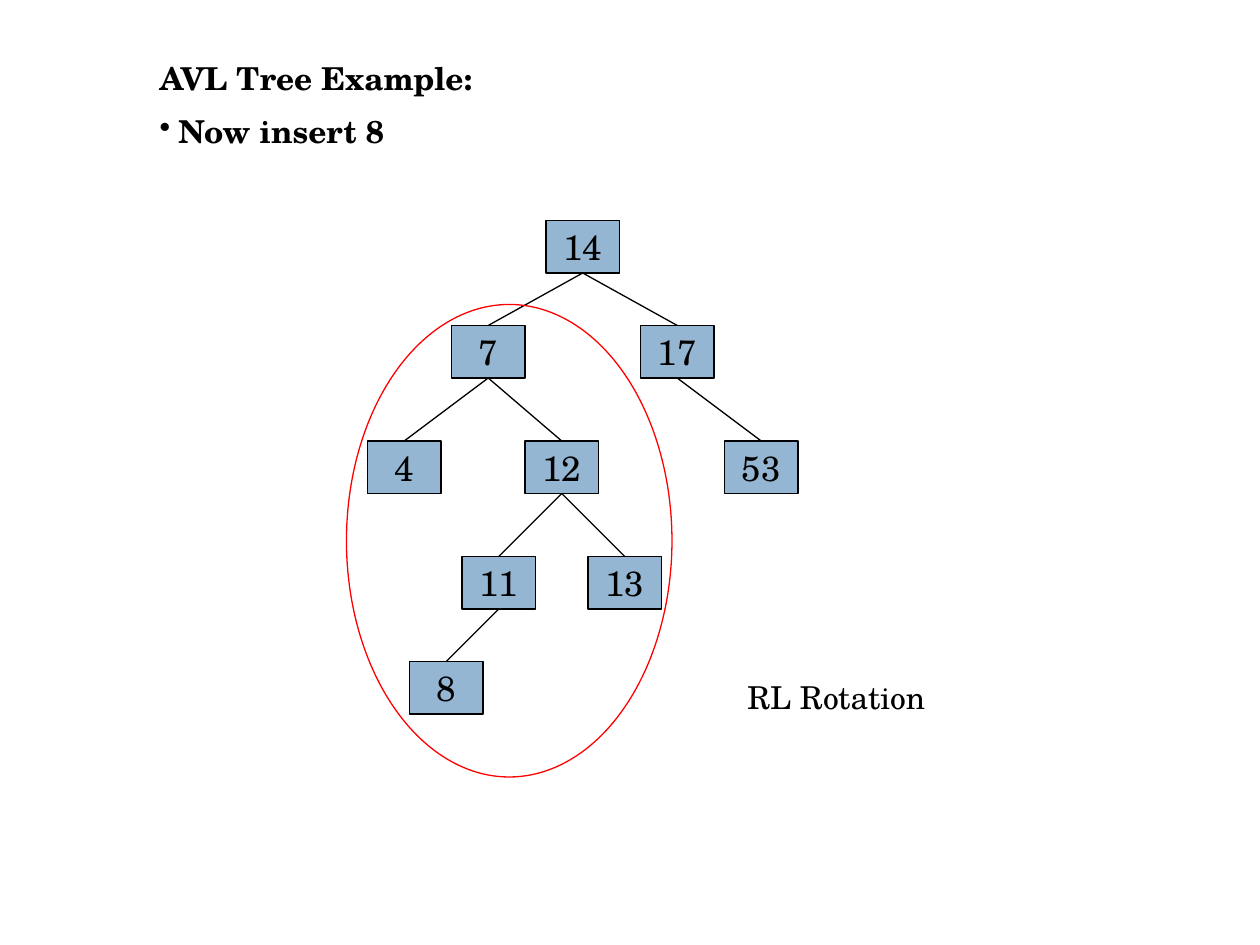
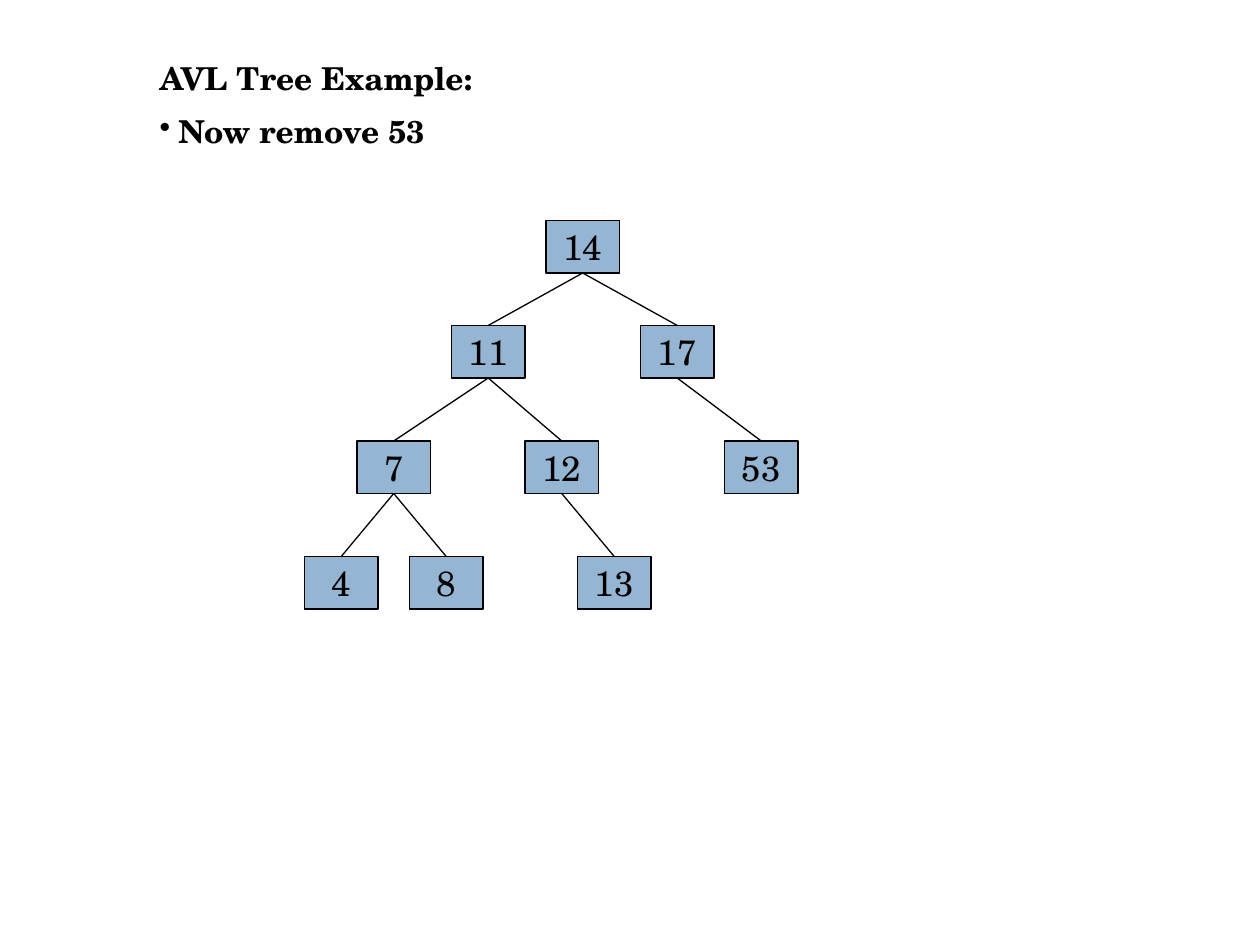
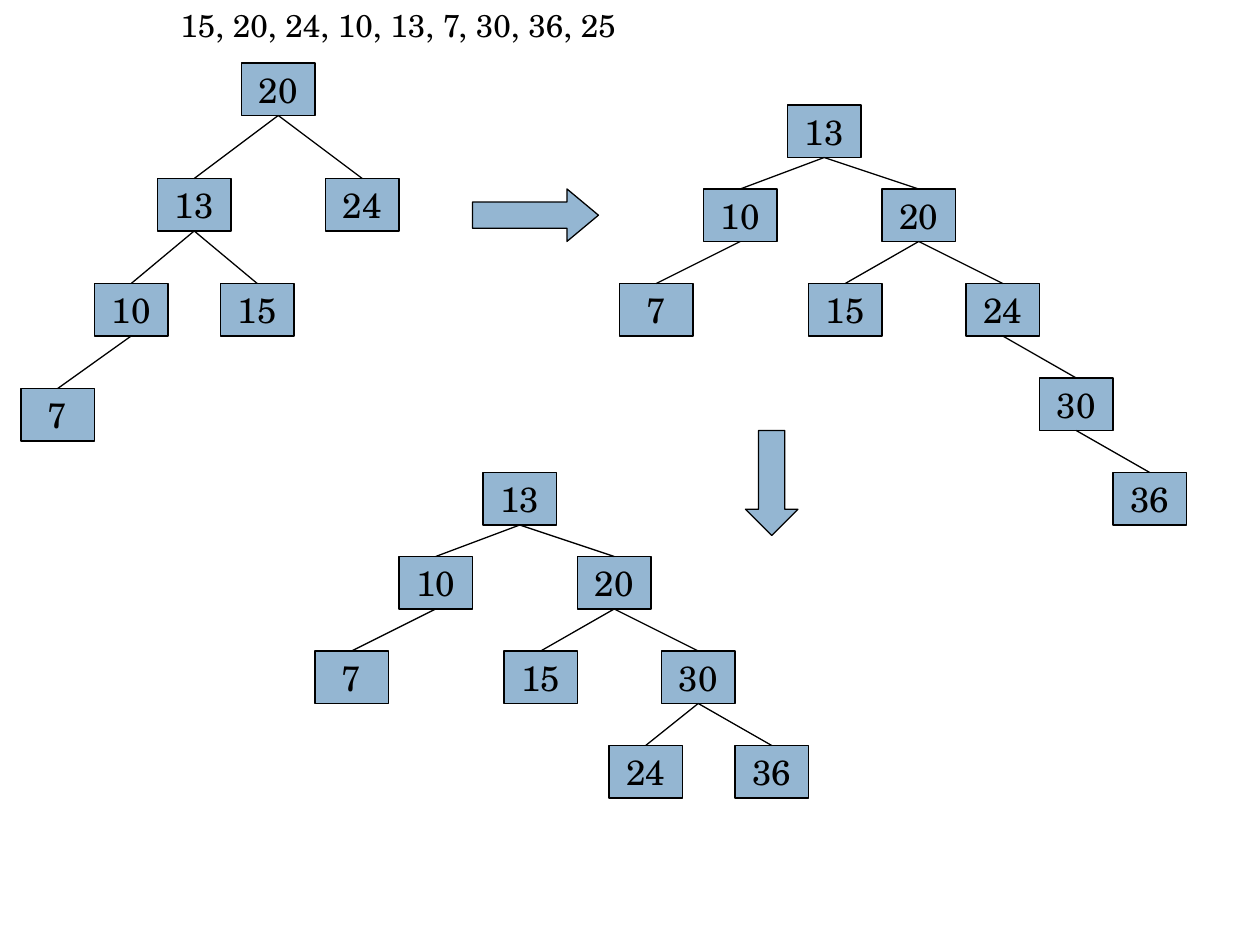
import pptx
import pptx.util
import pptx.dml.color
import pptx.enum.shapes
import pptx.enum.text
import pptx.oxml.ns
from lxml import etree

FONT = "TeX Gyre Schola"
COLORS = {"text": "000000", "line": "000000", "node": "94B6D2", "highlight": "FF0000"}
NODE_SIZE = (7, 5)
Shapes = pptx.enum.shapes.MSO_SHAPE

# Trees: (value, parent value, column, row), in grid units
INSERT_TREE = [
    (14, None, 52, 21), (7, 14, 43, 31), (17, 14, 61, 31),
    (4, 7, 35, 42), (12, 7, 50, 42), (53, 17, 69, 42),
    (11, 12, 44, 53), (13, 12, 56, 53), (8, 11, 39, 63),
]
REMOVE_TREE = [
    (14, None, 52, 21), (11, 14, 43, 31), (17, 14, 61, 31),
    (7, 11, 34, 42), (12, 11, 50, 42), (53, 17, 69, 42),
    (4, 7, 29, 53), (8, 7, 39, 53), (13, 12, 55, 53),
]
FIRST_TREE = [
    (20, None, 23, 6), (13, 20, 15, 17), (24, 20, 31, 17),
    (10, 13, 9, 27), (15, 13, 21, 27), (7, 10, 2, 37),
]
UNBALANCED_TREE = [
    (13, None, 75, 10), (10, 13, 67, 18), (20, 13, 84, 18),
    (7, 10, 59, 27), (15, 20, 77, 27), (24, 20, 92, 27),
    (30, 24, 99, 36), (36, 30, 106, 45),
]
BALANCED_TREE = [
    (13, None, 46, 45), (10, 13, 38, 53), (20, 13, 55, 53),
    (7, 10, 30, 62), (15, 20, 48, 62), (30, 20, 63, 62),
    (24, 30, 58, 71), (36, 30, 70, 71),
]


def grid(*units):
    """Turn grid units of a twelfth of an inch into lengths."""
    return [pptx.util.Cm(unit * 2.54 / 12) for unit in units]


def color(name):
    return pptx.dml.color.RGBColor.from_string(COLORS[name])


def format_font(paragraph, size, bold=False):
    for run in paragraph.runs:
        run.font.name = FONT
        run.font.size = pptx.util.Pt(size)
        run.font.bold = bold
        run.font.color.rgb = color("text")


def format_line(line, name="line"):
    line.color.rgb = color(name)
    line.width = pptx.util.Pt(0.75)


def set_indent(paragraph, left, first_line=0):
    properties = paragraph._p.get_or_add_pPr()
    properties.set("marL", str(pptx.util.Cm(left)))
    properties.set("indent", str(pptx.util.Cm(first_line)))
    return properties


def add_bullet(paragraph):
    properties = set_indent(paragraph, 0.38, -0.38)
    qualified = pptx.oxml.ns.qn
    bullet_color = etree.SubElement(properties, qualified("a:buClr"))
    etree.SubElement(bullet_color, qualified("a:srgbClr"), val=COLORS["text"])
    etree.SubElement(properties, qualified("a:buChar"), char="•")


def add_heading(slide, step):
    title = slide.shapes.title
    title.left, title.top, title.width, title.height = grid(14, 5, 94, 10.2)
    text_frame = title.text_frame
    text_frame.auto_size = pptx.enum.text.MSO_AUTO_SIZE.NONE
    text_frame.vertical_anchor = pptx.enum.text.MSO_ANCHOR.TOP
    text_frame.text = "AVL Tree Example:\n" + step
    heading, bullet = text_frame.paragraphs
    bullet.space_before = pptx.util.Pt(9)
    add_bullet(bullet)
    for paragraph in (heading, bullet):
        paragraph.alignment = pptx.enum.text.PP_ALIGN.LEFT
        format_font(paragraph, 18, bold=True)


def add_text(slide, text, box):
    text_frame = slide.shapes.add_textbox(*grid(*box)).text_frame
    text_frame.word_wrap = True
    text_frame.text = text
    paragraph = text_frame.paragraphs[0]
    format_font(paragraph, 18)
    return paragraph


def add_filled_shape(slide, kind, box):
    shape = slide.shapes.add_shape(kind, *grid(*box))
    shape.shadow.inherit = False
    shape.fill.solid()
    shape.fill.fore_color.rgb = color("node")
    format_line(shape.line)
    return shape


def add_node(slide, value, column, row):
    node = add_filled_shape(slide, Shapes.RECTANGLE, (column, row, *NODE_SIZE))
    node.text_frame.text = str(value)
    paragraph = node.text_frame.paragraphs[0]
    paragraph.alignment = pptx.enum.text.PP_ALIGN.CENTER
    format_font(paragraph, 20)
    return node


def add_edge(slide, parent, child):
    edge = slide.shapes.add_connector(
        pptx.enum.shapes.MSO_CONNECTOR.STRAIGHT, 0, 0, 0, 0)
    edge.begin_connect(parent, 2)
    edge.end_connect(child, 0)
    format_line(edge.line)
    etree.SubElement(edge._element.spPr, pptx.oxml.ns.qn("a:effectLst"))


def add_tree(slide, tree):
    nodes = {}
    for value, parent, column, row in tree:
        nodes[value] = add_node(slide, value, column, row)
        if parent is not None:
            add_edge(slide, nodes[parent], nodes[value])


def add_arrow(slide, kind, box, head_length):
    arrow = add_filled_shape(slide, kind, box)
    arrow.adjustments[0] = 0.5
    arrow.adjustments[1] = head_length


def add_highlight(slide, box):
    ellipse = slide.shapes.add_shape(Shapes.OVAL, *grid(*box))
    ellipse.shadow.inherit = False
    ellipse.fill.background()
    format_line(ellipse.line, "highlight")


def main():
    presentation = pptx.Presentation()
    presentation.slide_width = pptx.util.Cm(25.4)
    presentation.slide_height = pptx.util.Cm(19.05)
    title_only, blank = presentation.slide_layouts[5], presentation.slide_layouts[6]

    # Insertion that needs a rotation
    slide = presentation.slides.add_slide(title_only)
    add_heading(slide, "Now insert 8")
    add_tree(slide, INSERT_TREE)
    add_highlight(slide, (33, 29, 31, 45))
    add_text(slide, "RL Rotation", (70, 64, 38, 4.8))

    # Removal
    slide = presentation.slides.add_slide(title_only)
    add_heading(slide, "Now remove 53")
    add_tree(slide, REMOVE_TREE)

    # Sequence of insertions
    slide = presentation.slides.add_slide(blank)
    sequence = add_text(slide, "15, 20, 24, 10, 13, 7, 30, 36, 25", (10, 0, 98, 4.8))
    sequence.level = 1
    set_indent(sequence, 1.27)
    for tree in (FIRST_TREE, UNBALANCED_TREE, BALANCED_TREE):
        add_tree(slide, tree)
    add_arrow(slide, Shapes.RIGHT_ARROW, (45, 18, 12, 5), 0.6)
    add_arrow(slide, Shapes.DOWN_ARROW, (71, 41, 5, 10), 0.5)

    presentation.save("out.pptx")


if __name__ == "__main__":
    main()
